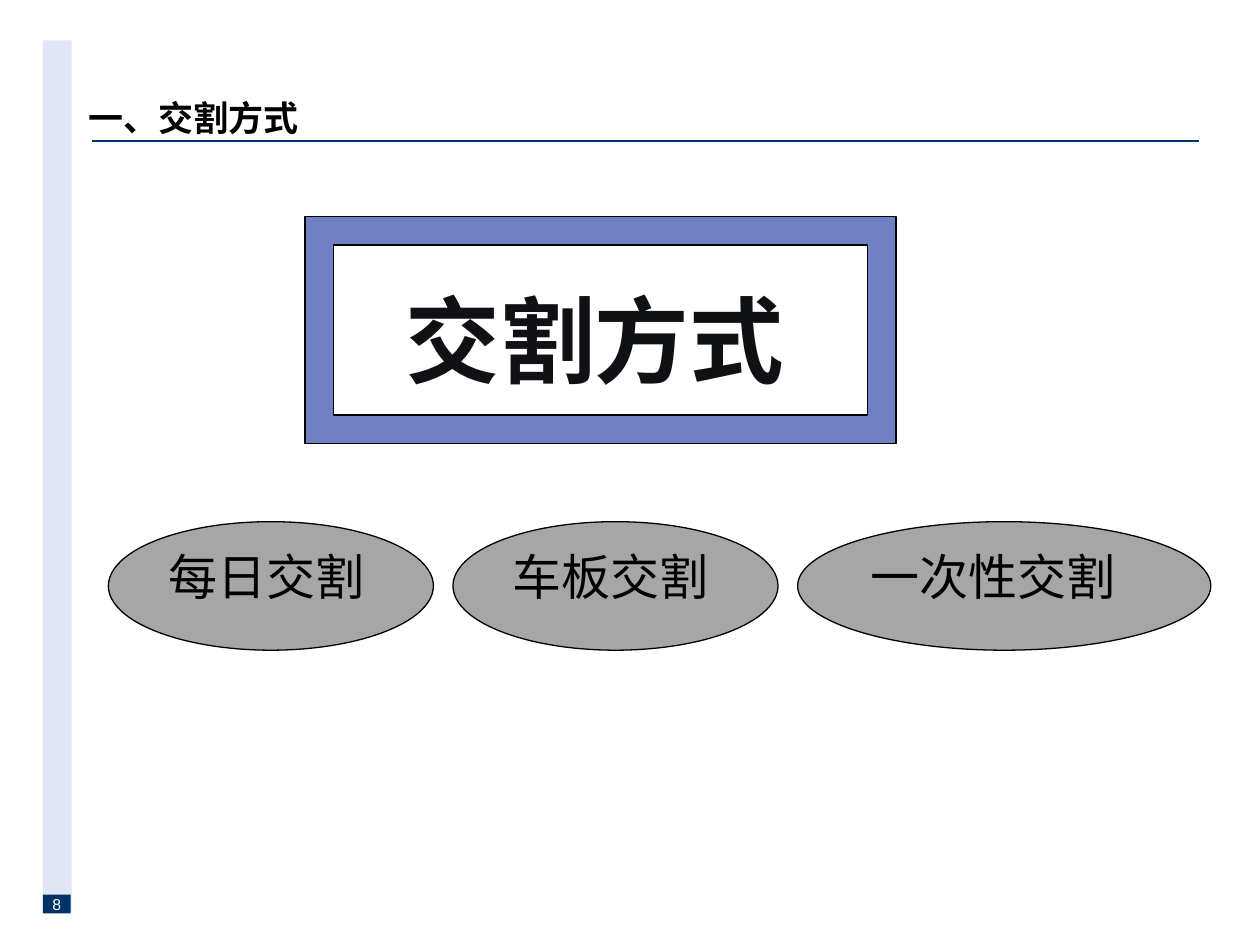
"""Build the slide on delivery methods: a framed heading above three ellipses."""
import pptx
import pptx.dml.color
import pptx.enum.shapes
import pptx.enum.text
import pptx.oxml
import pptx.oxml.ns
import pptx.util

Inches, Pt = pptx.util.Inches, pptx.util.Pt
RGB = pptx.dml.color.RGBColor.from_string
SHAPE = pptx.enum.shapes.MSO_SHAPE
ANCHOR = pptx.enum.text.MSO_ANCHOR
ALIGN = pptx.enum.text.PP_ALIGN
FIT = pptx.enum.text.MSO_AUTO_SIZE

THEME = {
    "navy": RGB("003366"), "bar": RGB("E0E6F4"), "frame": RGB("6F80C3"),
    "ellipse": RGB("A6A6A6"), "ink": RGB("101114"),
    "black": RGB("000000"), "white": RGB("FFFFFF"),
    "page": Pt(9), "title": Pt(20), "label": Pt(28), "heading": Pt(54),
    "latin": "Arial", "cjk": "Noto Sans CJK SC",
}
NO_INSETS = dict.fromkeys(("margin_left", "margin_top", "margin_right", "margin_bottom"), 0)


def add_shape(s, kind, box, fill, outlined=False):
    sp = s.shapes.add_shape(kind, *map(Inches, box))
    sp.shadow.inherit = False
    sp.fill.solid()
    sp.fill.fore_color.rgb = THEME[fill]
    if outlined:
        sp.line.color.rgb = THEME["black"]
        sp.line.width = Pt(0.75)
    else:
        sp.line.fill.background()
    return sp


def set_text(sp, text, size, color, font="cjk", bold=False, frame=None, para=None):
    tf = sp.text_frame
    p = tf.paragraphs[0]
    r = p.add_run()
    r.text = text
    r.font.color.rgb = THEME[color]
    formats = (
        (tf, {"word_wrap": True, "vertical_anchor": ANCHOR.TOP, **(frame or {})}),
        (p, {"alignment": ALIGN.LEFT, **(para or {})}),
        (r.font, {"name": THEME[font], "size": THEME[size], "bold": bold}),
    )
    for target, values in formats:
        for name, value in values.items():
            setattr(target, name, value)
    ea = pptx.oxml.parse_xml(f'<a:ea {pptx.oxml.ns.nsdecls("a")} typeface="{THEME[font]}"/>')
    r.font._element.find(pptx.oxml.ns.qn("a:latin")).addnext(ea)


prs = pptx.Presentation()
prs.slide_width, prs.slide_height = Inches(10), Inches(7.5)
s = prs.slides.add_slide(prs.slide_layouts[6])

rule = s.shapes.add_connector(
    pptx.enum.shapes.MSO_CONNECTOR.STRAIGHT, *map(Inches, (0.73, 1.12, 9.52, 1.12)))
rule.line.color.rgb = THEME["navy"]
rule.line.width = Pt(1.5)
rule._element.spPr.append(pptx.oxml.parse_xml(f'<a:effectLst {pptx.oxml.ns.nsdecls("a")}/>'))

add_shape(s, SHAPE.RECTANGLE, (0.34, 0.32, 0.23, 6.92), "bar")
page = add_shape(s, SHAPE.RECTANGLE, (0.34, 7.1, 0.22, 0.15), "navy")
set_text(page, "8", "page", "white", font="latin",
         frame={"vertical_anchor": ANCHOR.BOTTOM, "auto_size": FIT.SHAPE_TO_FIT_TEXT, **NO_INSETS},
         para={"alignment": ALIGN.CENTER})

title = s.shapes.add_textbox(*map(Inches, (0.7, 0.15, 8.84, 0.95)))
set_text(title, "一、交割方式", "title", "black", bold=True,
         frame={"vertical_anchor": ANCHOR.BOTTOM, **NO_INSETS},
         para={"line_spacing": Pt(24.5)})

heading = s.shapes.add_textbox(*map(Inches, (3.12, 2.19, 3.25, 1.01)))
set_text(heading, "交割方式", "heading", "ink", bold=True,
         frame={"word_wrap": False, "auto_size": FIT.SHAPE_TO_FIT_TEXT},
         para={"space_before": Pt(6)})
add_shape(s, SHAPE.FRAME, (2.42, 1.72, 4.69, 1.8), "frame", outlined=True)

left, gap = 0.86, 0.155
for text, width in (("每日交割", 2.58), ("车板交割", 2.58), ("一次性交割", 3.28)):
    sp = add_shape(s, SHAPE.OVAL, (left, 4.14, width, 1.02), "ellipse", outlined=True)
    set_text(sp, text, "label", "black")
    left += width + gap

prs.save("out.pptx")
